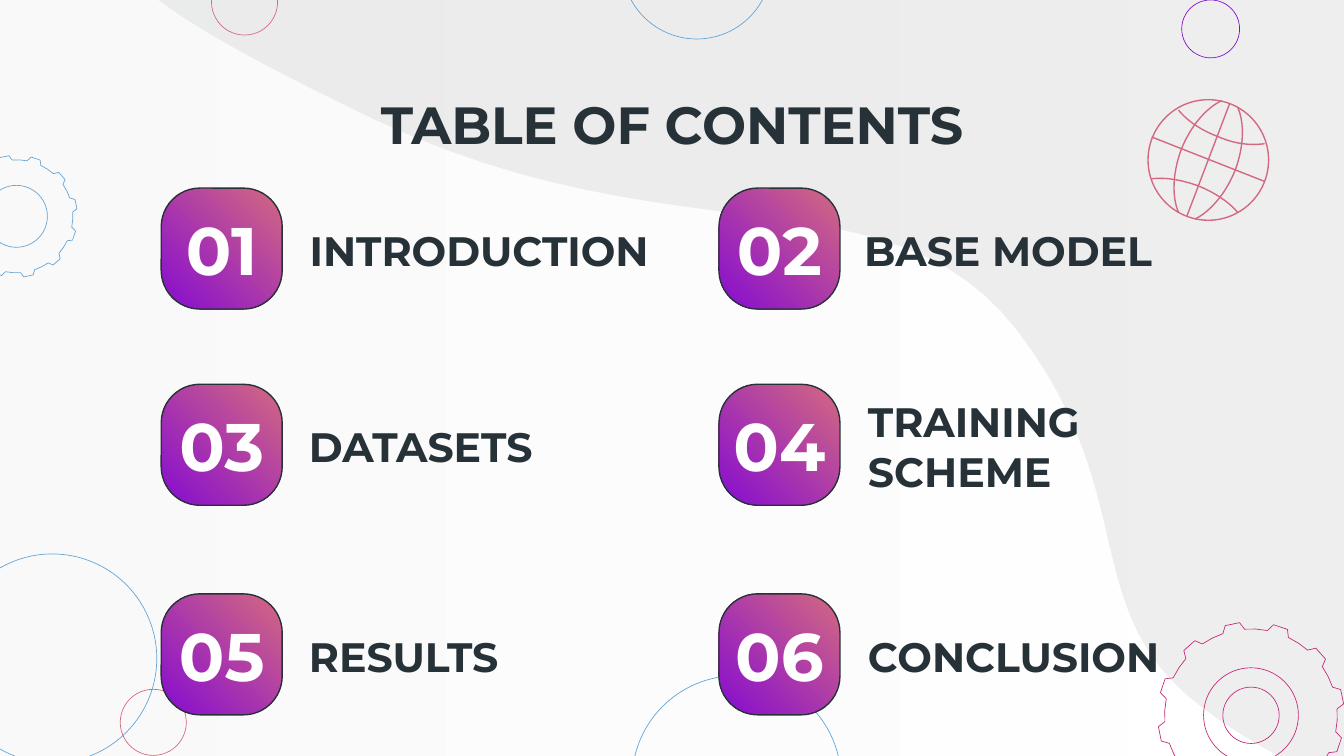
from dataclasses import dataclass
from math import cos, radians, sin

from lxml.etree import SubElement
from pptx import Presentation
from pptx.dml.color import RGBColor
from pptx.enum.shapes import MSO_CONNECTOR, MSO_SHAPE as SHAPE
from pptx.enum.text import MSO_ANCHOR as ANCHOR, PP_ALIGN as ALIGN
from pptx.oxml.ns import qn
from pptx.util import Pt


@dataclass(frozen=True)
class Theme:
    font: str = "Montserrat"
    ink: str = "263238"
    white: str = "FFFFFF"
    mist: str = "F3F3F3"
    gray: str = "D6D7D7"
    blue: str = "63A4D5"
    purple: str = "860CD1"
    pink: str = "D36980"
    magenta: str = "C52878"
    title_size: float = 28
    label_size: float = 22
    number_size: float = 36
    hairline: float = 0.36
    line: float = 0.75
    veil: int = 41


def rgb(color):
    return RGBColor.from_string(color)


def curve(start, *segments, steps=24):
    points = [start]
    for b, c, d in segments:
        a = points[-1]
        for i in range(1, steps + 1):
            t = i / steps
            u = 1 - t
            points.append(tuple(
                u**3 * p0 + 3 * u * u * t * p1 + 3 * u * t * t * p2 + t**3 * p3
                for p0, p1, p2, p3 in zip(a, b, c, d)))
    return points


class SlideBuilder:
    def __init__(self, slide, theme):
        self.shapes = slide.shapes
        self.theme = theme

    def style(self, sp, fill=None, line=None, width=0.75, alpha=None):
        sp.shadow.inherit = False
        if fill is None:
            sp.fill.background()
        elif isinstance(fill, tuple):
            first, last, angle = fill
            sp.fill.gradient()
            sp.fill.gradient_angle = angle
            for stop, color in zip(sp.fill.gradient_stops, (first, last)):
                stop.color.rgb = rgb(color)
        else:
            sp.fill.solid()
            sp.fill.fore_color.rgb = rgb(fill)
        if alpha:
            for color in sp._element.spPr.iter(qn("a:srgbClr")):
                SubElement(color, qn("a:alpha")).set("val", str(alpha * 1000))
        if line is None:
            sp.line.fill.background()
        else:
            sp.line.color.rgb = rgb(line)
            sp.line.width = Pt(width)
        return sp

    def shape(self, kind, x, y, w, h, **style):
        sp = self.shapes.add_shape(kind, Pt(x), Pt(y), Pt(w), Pt(h))
        return self.style(sp, **style)

    def circle(self, cx, cy, radius, color, width):
        return self.shape(SHAPE.OVAL, cx - radius, cy - radius, 2 * radius,
                          2 * radius, line=color, width=width)

    def outline(self, points, close=False, **style):
        (x, y), *rest = points
        builder = self.shapes.build_freeform(Pt(x), Pt(y))
        builder.add_line_segments([(Pt(a), Pt(b)) for a, b in rest], close=close)
        return self.style(builder.convert_to_shape(), **style)

    def line(self, x1, y1, x2, y2, color, width):
        cn = self.shapes.add_connector(
            MSO_CONNECTOR.STRAIGHT, Pt(x1), Pt(y1), Pt(x2), Pt(y2))
        cn.line.color.rgb = rgb(color)
        cn.line.width = Pt(width)
        SubElement(cn._element.spPr, qn("a:effectLst"))

    def gear(self, cx, cy, radius, bores, color, teeth=12):
        profile = ((4.3, 0.925), (7, 1), (16, 1), (19, 0.925), (26.6, 0.925))
        points = []
        for tooth in range(teeth):
            for offset, ratio in profile:
                angle = radians(offset + tooth * 360 / teeth)
                points.append((cx + radius * ratio * cos(angle),
                               cy - radius * ratio * sin(angle)))
        width = self.theme.hairline
        self.outline(points, close=True, line=color, width=width)
        for bore in bores:
            self.circle(cx, cy, bore, color, width)

    def set_text(self, sp, text, size, color, align):
        tf = sp.text_frame
        tf.vertical_anchor = ANCHOR.MIDDLE
        p = tf.paragraphs[0]
        p.text = text
        p.alignment = align
        p.font.name = self.theme.font
        p.font.size = Pt(size)
        p.font.bold = True
        p.font.color.rgb = rgb(color)
        return tf

    def text(self, text, x, y, w, h, size, align=ALIGN.LEFT):
        sp = self.shapes.add_textbox(Pt(x), Pt(y), Pt(w), Pt(h))
        tf = self.set_text(sp, text, size, self.theme.ink, align)
        tf.word_wrap = True
        tf.margin_left = tf.margin_right = Pt(7.2)
        tf.margin_top = tf.margin_bottom = Pt(7.2)

    def tile(self, number, x, y, side=64.8):
        t = self.theme
        sp = self.shape(SHAPE.ROUNDED_RECTANGLE, x, y, side, side,
                        fill=(t.pink, t.purple, 225), line=t.ink, width=t.line)
        sp.adjustments[0] = 0.32
        tf = self.set_text(sp, number, t.number_size, t.white, ALIGN.CENTER)
        tf.word_wrap = False
        tf.margin_left = tf.margin_right = tf.margin_top = tf.margin_bottom = 0


def draw_background(s, t):
    s.shape(SHAPE.RECTANGLE, -5, -5, 730, 415.4,
            fill=(t.white, t.mist, 180), alpha=t.veil)
    wave = curve(
        (729.4, 423.4),
        ((706.3, 416.2), (676.1, 403.2), (643.7, 378.7)),
        ((576, 327.6), (612.7, 265.7), (545, 177.1)),
        ((476.6, 88.6), (361.4, 140.4), (200.9, 64.1)),
        ((126.7, 28.8), (92.2, 7.2), (77, -6.5)))
    s.outline([*wave, (77, -18), (740.2, -18), (740.2, 423.4)],
              close=True, fill=t.gray, alpha=t.veil)
    for cx, cy, radius, color in (
            (28, 352.8, 56, t.blue), (648.6, 15.5, 15.5, t.purple),
            (131, 1.1, 17.7, t.pink), (373.3, -19.1, 40, t.blue),
            (394.6, 418, 56, t.blue), (82.1, 387, 17.7, t.pink)):
        s.circle(cx, cy, radius, color, t.hairline)
    s.gear(8.8, 115.9, 32.7, (16.6,), t.blue)
    s.gear(670.2, 383.2, 50, (25.4, 15.1), t.magenta)


def draw_globe(s, t):
    s.circle(647.3, 85.7, 32.3, t.pink, t.line)
    for ends in ((658.8, 55.4, 635.8, 115.9), (617, 73.4, 677.5, 97.2)):
        s.line(*ends, t.pink, t.line)
    for arc in (
            ((631.4, 113.8), ((631.4, 113.8), (625, 101.5), (632.9, 79.9)),
             ((641.5, 59), (654.5, 54), (654.5, 54))),
            ((640.1, 117.4), ((640.1, 117.4), (653, 112.3), (661.7, 91.4)),
             ((669.6, 69.8), (663.1, 57.6), (663.1, 57.6))),
            ((663.1, 113.8), ((659.5, 109.4), (652.3, 103.7), (641.5, 99.4)),
             ((631.4, 95.8), (622.8, 95), (617, 95.8))),
            ((631.4, 59), ((635, 63.4), (641.5, 69.1), (653, 73.4)),
             ((663.1, 77.8), (671.8, 77.8), (677.5, 77)))):
        s.outline(curve(*arc), line=t.pink, width=t.line)


def main():
    prs = Presentation()
    prs.slide_width, prs.slide_height = Pt(720), Pt(405)
    t = Theme()
    s = SlideBuilder(prs.slides.add_slide(prs.slide_layouts[6]), t)

    draw_background(s, t)
    s.text("TABLE OF CONTENTS", 56.2, 51.8, 607.7, 28.8, t.title_size, ALIGN.CENTER)
    draw_globe(s, t)

    columns = (86.4, 385.2)
    rows = (100.8, 205.9, 318.2)
    sections = (("INTRODUCTION", 72.4), ("BASE MODEL", 70.6), ("DATASETS", 72),
                ("TRAINING SCHEME", 72.7), ("RESULTS", 72), ("CONCLUSION", 72.7))
    for i, (label, indent) in enumerate(sections):
        x, y = columns[i % 2], rows[i // 2]
        s.tile(f"{i + 1:02}", x, y)
        s.text(label, x + indent, y + 15.8, 203, 34.6, t.label_size)

    prs.save("out.pptx")


if __name__ == "__main__":
    main()
